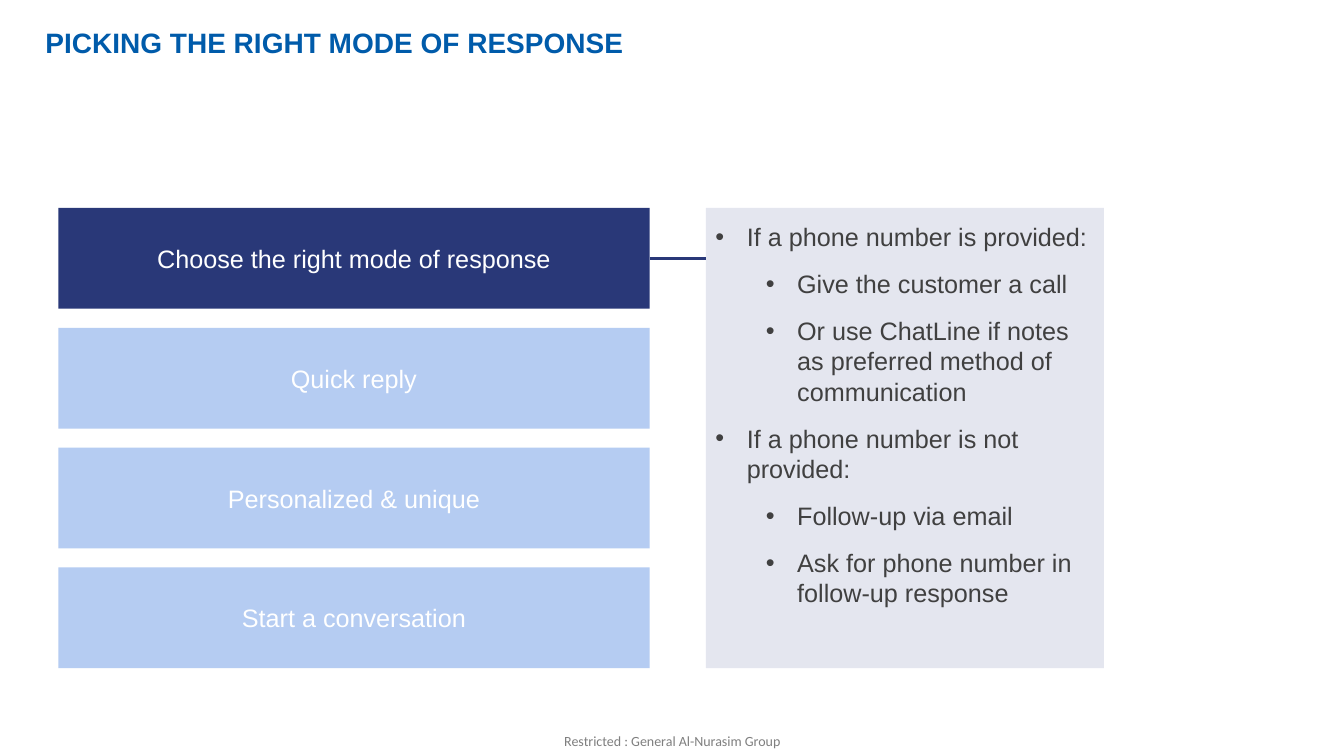
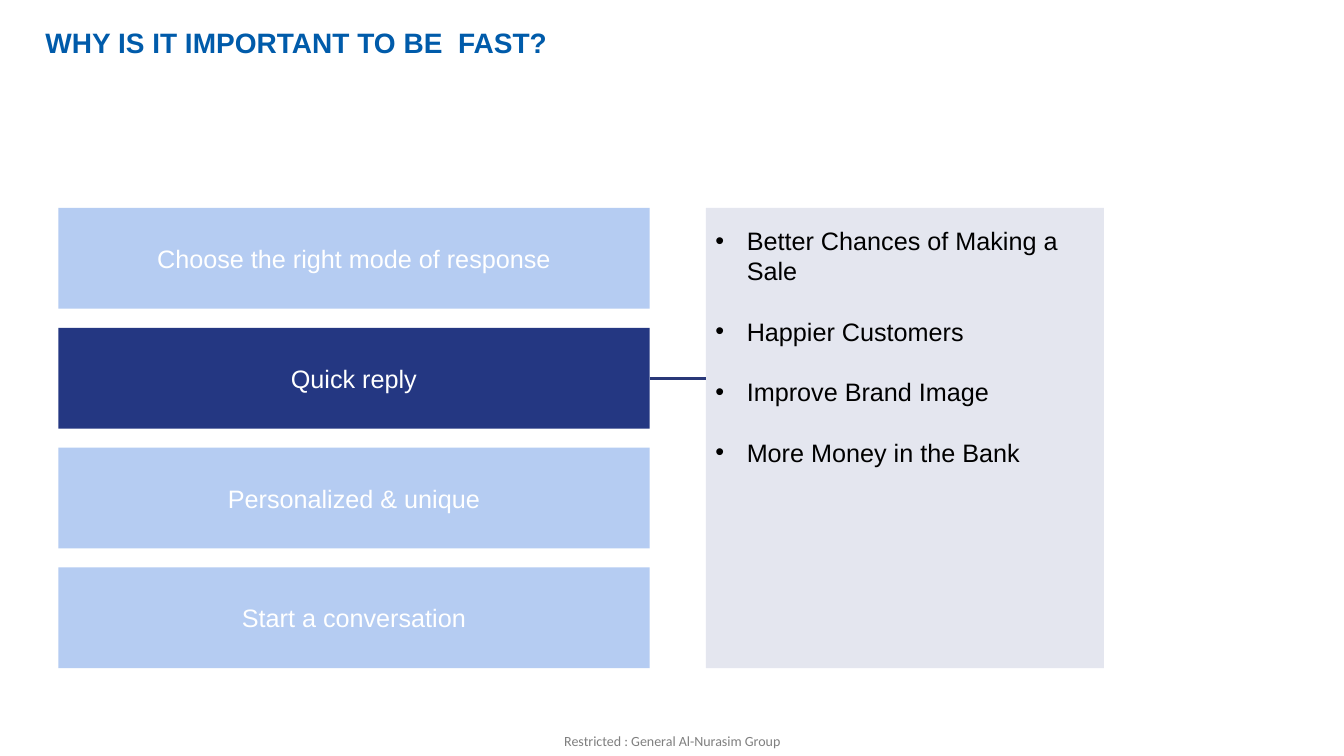
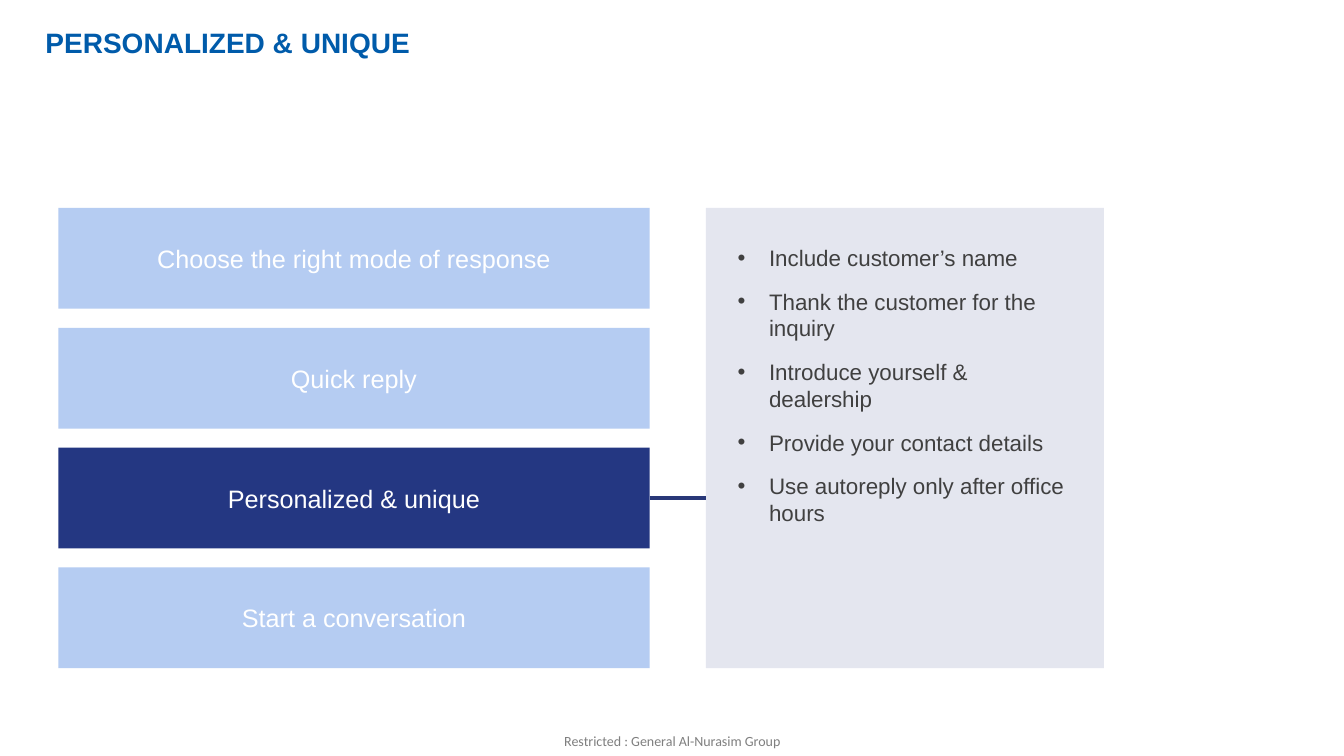
from dataclasses import dataclass

from lxml import etree
from pptx import Presentation
from pptx.dml.color import RGBColor
from pptx.enum.shapes import MSO_CONNECTOR, MSO_SHAPE
from pptx.enum.text import MSO_ANCHOR, MSO_AUTO_SIZE, PP_ALIGN
from pptx.oxml.ns import qn
from pptx.util import Cm, Pt

RECTANGLE = MSO_SHAPE.RECTANGLE
STRAIGHT = MSO_CONNECTOR.STRAIGHT
TOP, MIDDLE = MSO_ANCHOR.TOP, MSO_ANCHOR.MIDDLE
LEFT, CENTER = PP_ALIGN.LEFT, PP_ALIGN.CENTER
NO_AUTOFIT = MSO_AUTO_SIZE.NONE
RIGHT_SIDE = 3

TITLE_BLUE = RGBColor(0x00, 0x5B, 0xAA)
INDIGO = RGBColor(0x29, 0x38, 0x78)
NAVY = RGBColor(0x24, 0x37, 0x82)
PALE_BLUE = RGBColor(0xB5, 0xCC, 0xF2)
WHITE = RGBColor(0xFF, 0xFF, 0xFF)
BLACK = RGBColor(0x00, 0x00, 0x00)
DARK_GREY = RGBColor(0x40, 0x40, 0x40)
FOOTER_GREY = RGBColor(0x7F, 0x7F, 0x7F)

HEADING_FONT = "Arial"
FOOTER_FONT = "Calibri"
FOOTER_TEXT = "Restricted : General Al-Nurasim Group"

STEPS = ["Choose the right mode of response", "Quick reply",
         "Personalized & unique", "Start a conversation"]
STEP_LEFT, STEP_TOP = Cm(1.47), Cm(5.24)
STEP_WIDTH, STEP_HEIGHT, STEP_PITCH = Cm(14.9), Cm(2.54), Cm(3.02)
PANEL_LEFT, PANEL_WIDTH = Cm(17.79), Cm(10.03)
PANEL_HEIGHT = 3 * STEP_PITCH + STEP_HEIGHT
PANEL_OPACITY = 12
BULLET_HANG, LEVEL_INDENT = Cm(0.79), Cm(1.27)


@dataclass
class BulletList:
    """Items as (level, text), with the place and look of the list."""
    items: list
    left: float
    top: float
    width: float
    size: float
    gap: float
    color: RGBColor


def format_text(paragraph, size, color, font_name=HEADING_FONT, bold=False):
    for run in paragraph.runs:
        font = run.font
        font.name, font.size, font.bold = font_name, Pt(size), bold
        font.color.rgb = color


def place(shape, left, top, width, height):
    shape.left, shape.top, shape.width, shape.height = left, top, width, height


def frame_text(text_frame, anchor, margin=None):
    text_frame.word_wrap = True
    text_frame.auto_size = NO_AUTOFIT
    text_frame.vertical_anchor = anchor
    if margin is not None:
        text_frame.margin_left = text_frame.margin_right = margin
        text_frame.margin_top = text_frame.margin_bottom = margin


def add_rectangle(slide, left, top, width, height, color):
    shape = slide.shapes.add_shape(RECTANGLE, left, top, width, height)
    shape.shadow.inherit = False
    shape.fill.solid()
    shape.fill.fore_color.rgb = color
    shape.line.fill.background()
    return shape


def add_title(slide, text):
    title = slide.shapes.title
    place(title, Cm(0.89), Cm(0.51), Cm(32.05), Cm(1.07))
    frame_text(title.text_frame, TOP)
    title.text_frame.text = text
    paragraph = title.text_frame.paragraphs[0]
    paragraph.alignment = LEFT
    format_text(paragraph, 20, TITLE_BLUE, bold=True)


def add_footer(slide):
    footer = slide.shapes.add_textbox(Cm(14.22), Cm(18.45), Cm(5.8), Cm(0.43))
    frame_text(footer.text_frame, TOP, margin=0)
    footer.text_frame.text = FOOTER_TEXT
    format_text(footer.text_frame.paragraphs[0], 10, FOOTER_GREY, FOOTER_FONT)


def add_steps(slide, active, active_color):
    """Stack the step boxes and return the highlighted one."""
    boxes = []
    for index, text in enumerate(STEPS):
        color = active_color if index == active else PALE_BLUE
        box = add_rectangle(slide, STEP_LEFT, STEP_TOP + index * STEP_PITCH,
                            STEP_WIDTH, STEP_HEIGHT, color)
        frame_text(box.text_frame, MIDDLE, margin=0)
        box.text_frame.text = text
        paragraph = box.text_frame.paragraphs[0]
        paragraph.alignment = CENTER
        format_text(paragraph, 18, WHITE)
        boxes.append(box)
    return boxes[active]


def add_panel(slide):
    panel = add_rectangle(slide, PANEL_LEFT, STEP_TOP, PANEL_WIDTH, PANEL_HEIGHT, NAVY)
    color = panel._element.spPr.find(".//" + qn("a:srgbClr"))
    etree.SubElement(color, qn("a:alpha"), val=str(PANEL_OPACITY * 1000))


def add_link(slide, step):
    """Draw a level line from the step box to the panel."""
    middle = step.top + step.height // 2
    link = slide.shapes.add_connector(STRAIGHT, step.left + step.width, middle,
                                      PANEL_LEFT, middle)
    link.begin_connect(step, RIGHT_SIDE)
    link.line.color.rgb = INDIGO
    link.line.width = Pt(2.25)
    etree.SubElement(link._element.spPr, qn("a:effectLst"))


def set_bullet(paragraph, level):
    paragraph.level = level
    properties = paragraph._p.get_or_add_pPr()
    properties.set("marL", str(BULLET_HANG + level * LEVEL_INDENT))
    properties.set("indent", str(-BULLET_HANG))
    etree.SubElement(properties, qn("a:buChar"), char="•")


def fill_list(slide, bullets):
    body = slide.placeholders[1]
    top = Cm(bullets.top)
    place(body, Cm(bullets.left), top, Cm(bullets.width), STEP_TOP + PANEL_HEIGHT - top)
    frame = body.text_frame
    frame_text(frame, TOP, margin=0)
    frame.text = "\n".join(text for _, text in bullets.items)
    for paragraph, (level, _) in zip(frame.paragraphs, bullets.items):
        set_bullet(paragraph, level)
        paragraph.alignment = LEFT
        paragraph.space_before = Pt(0)
        paragraph.space_after = Pt(bullets.gap)
        format_text(paragraph, bullets.size, bullets.color)


def add_step_slide(presentation, title, active, active_color, bullets):
    slide = presentation.slides.add_slide(presentation.slide_layouts[1])
    add_footer(slide)
    add_title(slide, title)
    step = add_steps(slide, active, active_color)
    add_panel(slide)
    add_link(slide, step)
    fill_list(slide, bullets)
    # The list belongs in front of its panel.
    slide.shapes._spTree.append(slide.placeholders[1]._element)


def main():
    presentation = Presentation()
    presentation.slide_width, presentation.slide_height = Cm(33.87), Cm(19.05)

    add_step_slide(
        presentation, "PICKING THE RIGHT MODE OF RESPONSE", 0, INDIGO,
        BulletList([(0, "If a phone number is provided:"),
                    (1, "Give the customer a call"),
                    (1, "Or use ChatLine if notes as preferred method of communication"),
                    (0, "If a phone number is not provided:"),
                    (1, "Follow-up via email"),
                    (1, "Ask for phone number in follow-up response")],
                   18.03, 5.58, 9.58, 18, 12, DARK_GREY))
    add_step_slide(
        presentation, "WHY IS IT IMPORTANT TO BE  FAST?", 1, NAVY,
        BulletList([(0, "Better Chances of Making a Sale"),
                    (0, "Happier Customers"),
                    (0, "Improve Brand Image"),
                    (0, "More Money in the Bank")],
                   18.03, 5.68, 9.53, 18, 21.6, BLACK))
    add_step_slide(
        presentation, "PERSONALIZED & UNIQUE", 2, NAVY,
        BulletList([(0, "Include customer’s name"),
                    (0, "Thank the customer for the inquiry"),
                    (0, "Introduce yourself & dealership"),
                    (0, "Provide your contact details"),
                    (0, "Use autoreply only after office hours")],
                   18.59, 6.15, 8.46, 16, 12, DARK_GREY))

    presentation.save("out.pptx")


if __name__ == "__main__":
    main()
